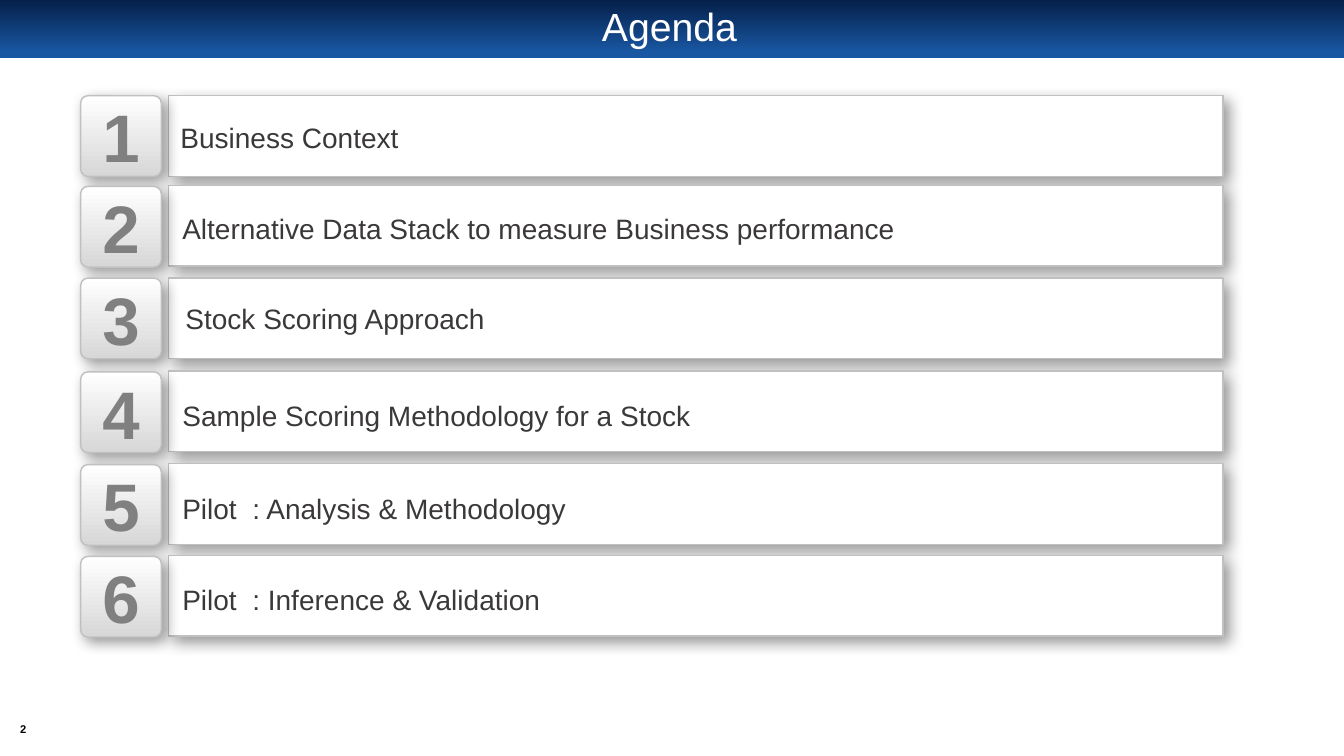
"""Build the agenda slide with six numbered rows."""
from lxml import etree
from pptx import Presentation
from pptx.dml.color import RGBColor
from pptx.enum.shapes import MSO_SHAPE
from pptx.enum.text import MSO_ANCHOR, PP_ALIGN
from pptx.oxml.ns import qn
from pptx.util import Inches, Pt

RECTANGLE = MSO_SHAPE.RECTANGLE
ROUNDED = MSO_SHAPE.ROUNDED_RECTANGLE
MIDDLE = MSO_ANCHOR.MIDDLE
LEFT, CENTER = PP_ALIGN.LEFT, PP_ALIGN.CENTER

BLACK = RGBColor(0x00, 0x00, 0x00)
WHITE = RGBColor(0xFF, 0xFF, 0xFF)
NAVY = RGBColor(0x05, 0x20, 0x49)
BLUE = RGBColor(0x19, 0x57, 0xA3)
LIGHT_GRAY = RGBColor(0xD7, 0xD7, 0xD7)
BORDER_GRAY = RGBColor(0xC0, 0xC0, 0xC0)
NUMBER_GRAY = RGBColor(0x80, 0x80, 0x80)
TEXT_GRAY = RGBColor(0x3B, 0x38, 0x38)

PANEL_SIZE = 0.8
# fields: panel top, badge top, label left, label top, label width, label
AGENDA = [
    (0.95, 0.95, 1.69, 1.14, 10.39, "Business Context"),
    (1.84, 1.85, 1.71, 2.04, 7.4, "Alternative Data Stack to measure Business performance"),
    (2.76, 2.76, 1.74, 2.94, 3.21, "Stock Scoring Approach"),
    (3.68, 3.69, 1.71, 3.9, 5.28, "Sample Scoring Methodology for a Stock"),
    (4.6, 4.61, 1.71, 4.82, 4.13, "Pilot  : Analysis & Methodology"),
    (5.51, 5.52, 1.71, 5.73, 3.8, "Pilot  : Inference & Validation"),
]


def write(shape, text, size, color, bold=False, align=LEFT, inset=0.0):
    frame = shape.text_frame
    frame.word_wrap = True
    frame.vertical_anchor = MIDDLE
    frame.margin_left = frame.margin_right = Inches(inset)
    frame.margin_top = frame.margin_bottom = Inches(inset / 2)
    paragraph = frame.paragraphs[0]
    paragraph.alignment = align
    run = paragraph.add_run()
    run.text = text
    run.font.name = "Arial"
    run.font.size = Pt(size)
    run.font.bold = bold
    run.font.color.rgb = color
    return paragraph


def add_raised_box(kind, left, top, width):
    shape = slide.shapes.add_shape(
        kind, Inches(left), Inches(top), Inches(width), Inches(PANEL_SIZE))
    shape.fill.solid()
    shape.fill.fore_color.rgb = WHITE
    shape.line.color.rgb = BORDER_GRAY
    shape.line.width = Pt(1)
    shape.shadow.inherit = False
    effects = shape._element.spPr.find(qn("a:effectLst"))
    shadow = etree.SubElement(
        effects, qn("a:outerShdw"), blurRad=str(Pt(10)), dist=str(Pt(5)),
        dir="2700000", algn="tl", rotWithShape="0")
    color = etree.SubElement(shadow, qn("a:srgbClr"), val=str(BLACK))
    etree.SubElement(color, qn("a:alpha"), val="40000")
    return shape


presentation = Presentation()
presentation.slide_width = Inches(13.33)
presentation.slide_height = Inches(7.5)
slide = presentation.slides.add_slide(presentation.slide_layouts[5])

header = slide.shapes.add_shape(RECTANGLE, 0, 0, presentation.slide_width, Inches(0.58))
header.shadow.inherit = False
header.line.fill.background()
header.fill.gradient()
header.fill.gradient_angle = 270
header_start, header_end = header.fill.gradient_stops
header_start.color.rgb = NAVY
header_end.color.rgb = BLUE
header_end.position = 0.9

title = slide.shapes.title
header._element.addnext(title._element)
title.left, title.top = Inches(0.66), Inches(0.06)
title.width, title.height = Inches(11.96), Inches(0.45)
write(title, "Agenda", 28, WHITE, align=CENTER, inset=0.1).line_spacing = 0.9

page_number = slide.shapes.add_textbox(Inches(0.08), Inches(7.14), Inches(0.3), Inches(0.19))
write(page_number, "2", 8, BLACK, bold=True, align=CENTER)

for number, row in enumerate(AGENDA, start=1):
    panel_top, badge_top, label_left, label_top, label_width, label = row
    add_raised_box(RECTANGLE, 1.67, panel_top, 10.46)

    badge = add_raised_box(ROUNDED, 0.8, badge_top, PANEL_SIZE)
    badge.adjustments[0] = 0.09
    badge.fill.gradient()
    badge.fill.gradient_angle = 90
    badge_start, badge_end = badge.fill.gradient_stops
    badge_start.color.rgb = LIGHT_GRAY
    badge_end.color.rgb = WHITE
    write(badge, str(number), 48, NUMBER_GRAY, bold=True, align=CENTER)

    label_box = slide.shapes.add_textbox(
        Inches(label_left), Inches(label_top), Inches(label_width), Inches(0.44))
    write(label_box, label, 20, TEXT_GRAY, inset=0.1)

presentation.save("out.pptx")
